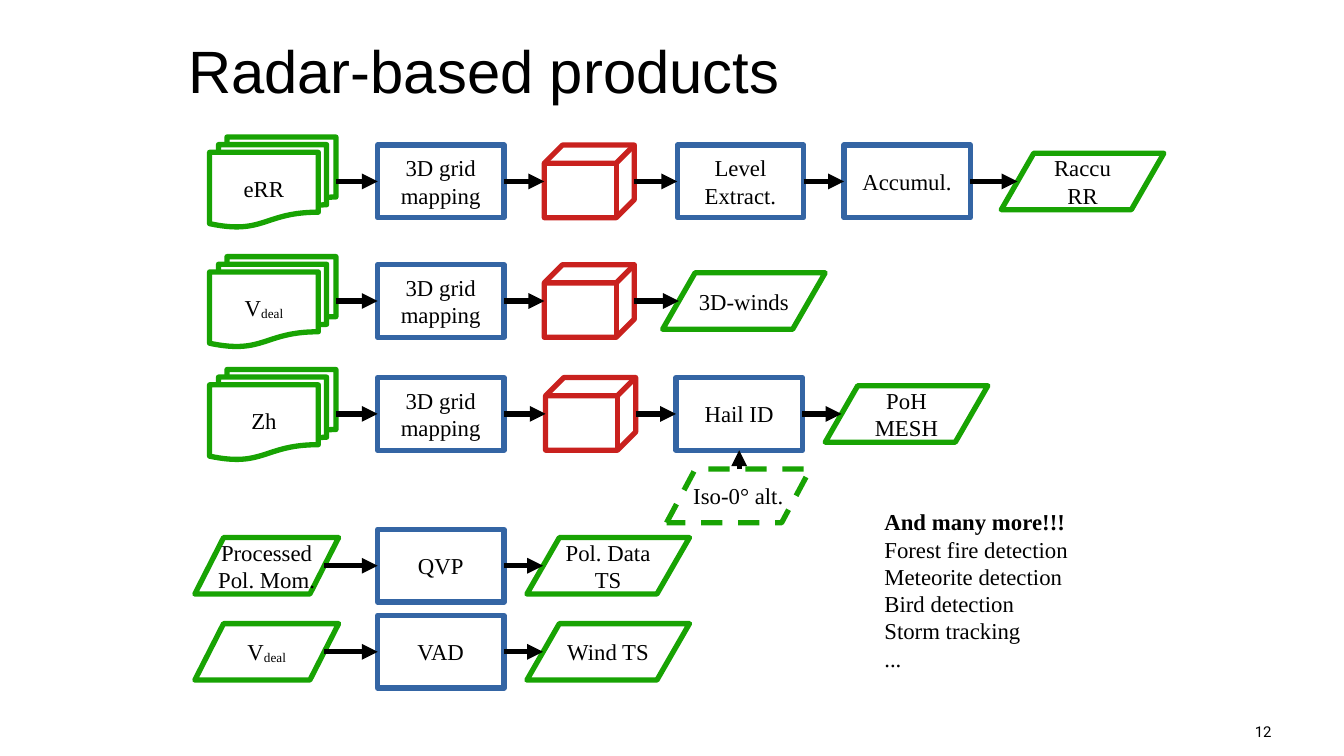
from itertools import pairwise

from lxml.etree import SubElement
from pptx import Presentation
from pptx.dml.color import RGBColor
from pptx.enum.dml import MSO_LINE
from pptx.enum.shapes import MSO_CONNECTOR, MSO_SHAPE as SHAPE
from pptx.enum.text import MSO_ANCHOR as ANCHOR, MSO_AUTO_SIZE, PP_ALIGN as ALIGN
from pptx.oxml.ns import qn
from pptx.util import Pt

PX = 9144  # 100 px to the inch
GREEN, BLUE, RED, BLACK = "18A303", "3465A4", "C9211E", "000000"
TOP, LEFT, BOTTOM, RIGHT = range(4)

# Each kind: preset shape, width, height, line colour
SCANS = (SHAPE.FLOWCHART_MULTIDOCUMENT, 94, 67, GREEN)
PROCESS = (SHAPE.FLOWCHART_PROCESS, 94, 54, BLUE)
GRID = (SHAPE.CUBE, 67, 54, RED)
INPUT = (SHAPE.FLOWCHART_DATA, 107, 42, GREEN)
OUTPUT = (SHAPE.FLOWCHART_DATA, 121, 42, GREEN)
OPTION = (SHAPE.FLOWCHART_DATA, 107, 40, GREEN)

MAPPING = (PROCESS, 281, "3D grid\nmapping")
CHAINS = {
    135: [(SCANS, 156, "eRR"), MAPPING, (GRID, 405, ""),
          (PROCESS, 504, "Level\nExtract."), (PROCESS, 628, "Accumul."),
          (OUTPUT, 745, "Raccu\nRR")],
    224: [(SCANS, 156, "V_deal"), MAPPING, (GRID, 405, ""),
          (OUTPUT, 493, "3D-winds")],
    308: [(SCANS, 156, "Zh"), MAPPING, (GRID, 406, ""),
          (PROCESS, 503, "Hail ID"), (OUTPUT, 614, "PoH\nMESH")],
    421: [(INPUT, 145, "Processed\nPol. Mom."), (PROCESS, 281, "QVP"),
          (OUTPUT, 392, "Pol. Data\nTS")],
    485: [(INPUT, 145, "V_deal"), (PROCESS, 281, "VAD"),
          (OUTPUT, 392, "Wind TS")],
}
MORE = ["And many more!!!", "Forest fire detection", "Meteorite detection",
        "Bird detection", "Storm tracking", "..."]


def color(value):
    return RGBColor.from_string(value)


class FlowSlide:
    font, size, line_width = "Times New Roman", 12.2, 2.83

    def __init__(self, slide):
        self.slide = slide

    def format_runs(self, para, font=None, size=None, bold=False):
        for run in para.runs:
            run.font.name = font or self.font
            run.font.size = Pt(size or self.size)
            run.font.bold = bold
            run.font.color.rgb = color(BLACK)

    def place(self, box, left, top, width, height):
        box.left, box.top = left * PX, top * PX
        box.width, box.height = width * PX, height * PX

    def set_insets(self, frame):
        frame.margin_left = frame.margin_right = 7 * PX
        frame.margin_top = frame.margin_bottom = 3 * PX

    def title(self, text):
        box = self.slide.shapes.title
        self.place(box, 130, 20, 822, 77)
        frame = box.text_frame
        frame.text = text
        frame.auto_size = MSO_AUTO_SIZE.NONE
        frame.vertical_anchor = ANCHOR.TOP
        frame.paragraphs[0].alignment = ALIGN.LEFT
        self.format_runs(frame.paragraphs[0], "Arial", 32)

    def plain_list(self, lines):
        """Fill the body placeholder with unbulleted lines under a bold first one."""
        box = self.slide.placeholders[1]
        self.place(box, 651, 375, 151, 120)
        frame = box.text_frame
        frame.text = "\n".join(lines)
        frame.auto_size = MSO_AUTO_SIZE.NONE
        frame.vertical_anchor = ANCHOR.TOP
        self.set_insets(frame)
        for index, para in enumerate(frame.paragraphs):
            properties = para._p.get_or_add_pPr()
            properties.set("marL", "0")
            properties.set("indent", "0")
            SubElement(properties, qn("a:buNone"))
            para.space_before = Pt(0)
            para.alignment = ALIGN.LEFT
            self.format_runs(para, bold=index == 0)

    def page_number(self, text):
        box = self.slide.shapes.add_textbox(838 * PX, 532 * PX, 118 * PX, 24 * PX)
        frame = box.text_frame
        frame.word_wrap = True
        frame.vertical_anchor = ANCHOR.MIDDLE
        frame.text = text
        frame.paragraphs[0].alignment = ALIGN.RIGHT
        self.format_runs(frame.paragraphs[0], "Roboto", 8)

    def node(self, kind, left, center, text, dashed=False):
        """Draw a flow chart shape; an underscore in its text starts a subscript."""
        preset, width, height, line_color = kind
        box = self.slide.shapes.add_shape(
            preset, left * PX, (center - height // 2) * PX, width * PX, height * PX)
        box.shadow.inherit = False
        box.fill.background()
        box.line.color.rgb = color(line_color)
        box.line.width = Pt(self.line_width)
        if dashed:
            box.line.dash_style = MSO_LINE.DASH
        if text:
            self.label(box.text_frame, text)
        return box

    def label(self, frame, text):
        frame.word_wrap = False
        frame.vertical_anchor = ANCHOR.MIDDLE
        self.set_insets(frame)
        frame.text = text
        for para in frame.paragraphs:
            base, _, subscript = para.text.partition("_")
            para.text = base
            para.alignment = ALIGN.CENTER
            if subscript:
                run = para.add_run()
                run.text = subscript
                run._r.get_or_add_rPr().set("baseline", "-8000")
            self.format_runs(para)

    def arrow(self, start, end):
        """Draw an arrow between two points given in EMU."""
        line = self.slide.shapes.add_connector(MSO_CONNECTOR.STRAIGHT, *start, *end)
        line.line.color.rgb = color(BLACK)
        line.line.width = Pt(self.line_width)
        SubElement(line.line._get_or_add_ln(), qn("a:tailEnd"), type="triangle")
        SubElement(line._element.spPr, qn("a:effectLst"))
        return line

    def link(self, source, target, center):
        """Join neighbours; a slanted side is met a tenth of the width inside."""
        start, end = source.left + source.width, target.left
        if source.auto_shape_type == SHAPE.FLOWCHART_DATA:
            start -= source.width // 10
        if target.auto_shape_type == SHAPE.FLOWCHART_DATA:
            end += target.width // 10
        line = self.arrow((start, center * PX), (end, center * PX))
        if source.auto_shape_type == SHAPE.FLOWCHART_PROCESS:
            line.begin_connect(source, RIGHT)
        if target.auto_shape_type == SHAPE.FLOWCHART_PROCESS:
            line.end_connect(target, LEFT)

    def chain(self, center, steps):
        boxes = [self.node(kind, left, center, text) for kind, left, text in steps]
        for source, target in pairwise(boxes):
            self.link(source, target, center)
        return boxes


def main():
    deck = Presentation()
    deck.slide_width = 1000 * PX
    deck.slide_height = deck.slide_width * 9 // 16
    page = FlowSlide(deck.slides.add_slide(deck.slide_layouts[1]))
    page.title("Radar-based products")
    rows = {center: page.chain(center, steps) for center, steps in CHAINS.items()}

    hail = rows[308][3]
    altitude = page.node(OPTION, 496, 369, "Iso-0° alt.", dashed=True)
    middle = hail.left + hail.width // 2
    line = page.arrow((middle, altitude.top), (middle, hail.top + hail.height))
    line.end_connect(hail, BOTTOM)

    page.plain_list(MORE)
    page.page_number("12")
    deck.save("out.pptx")


if __name__ == "__main__":
    main()
